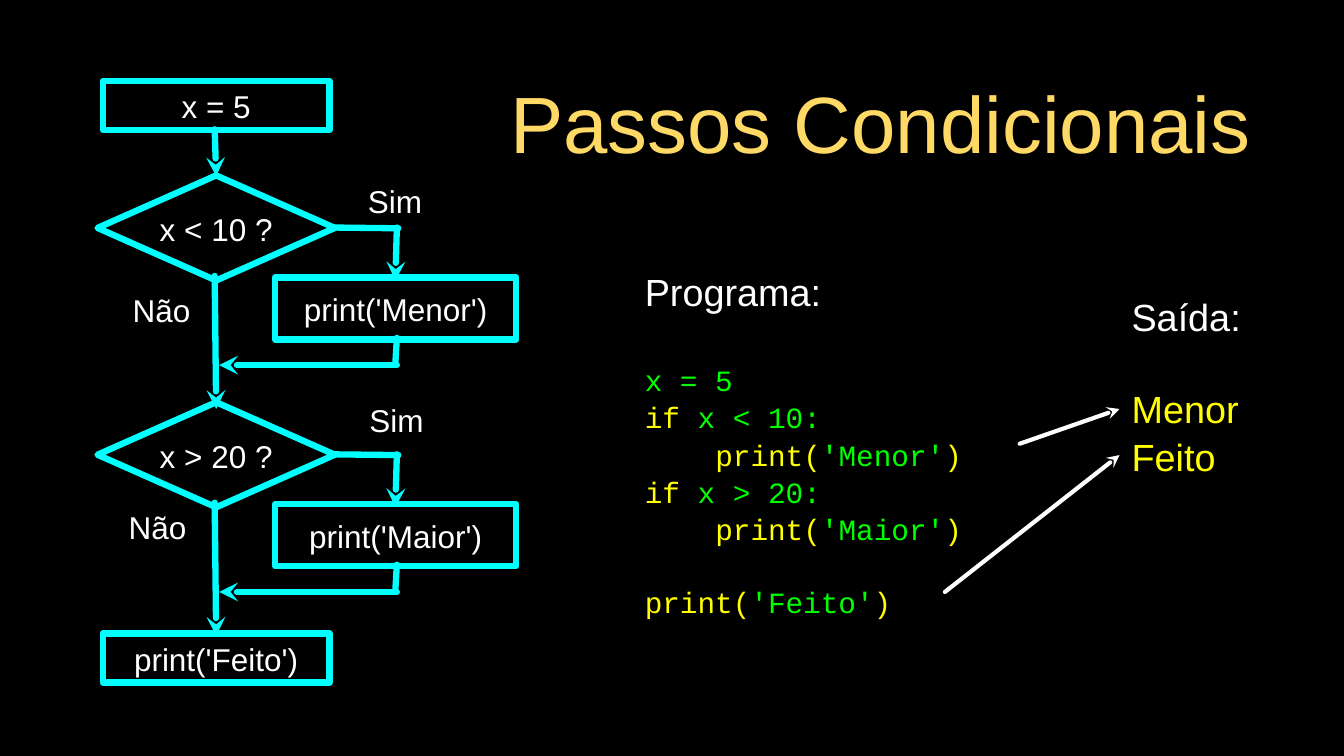
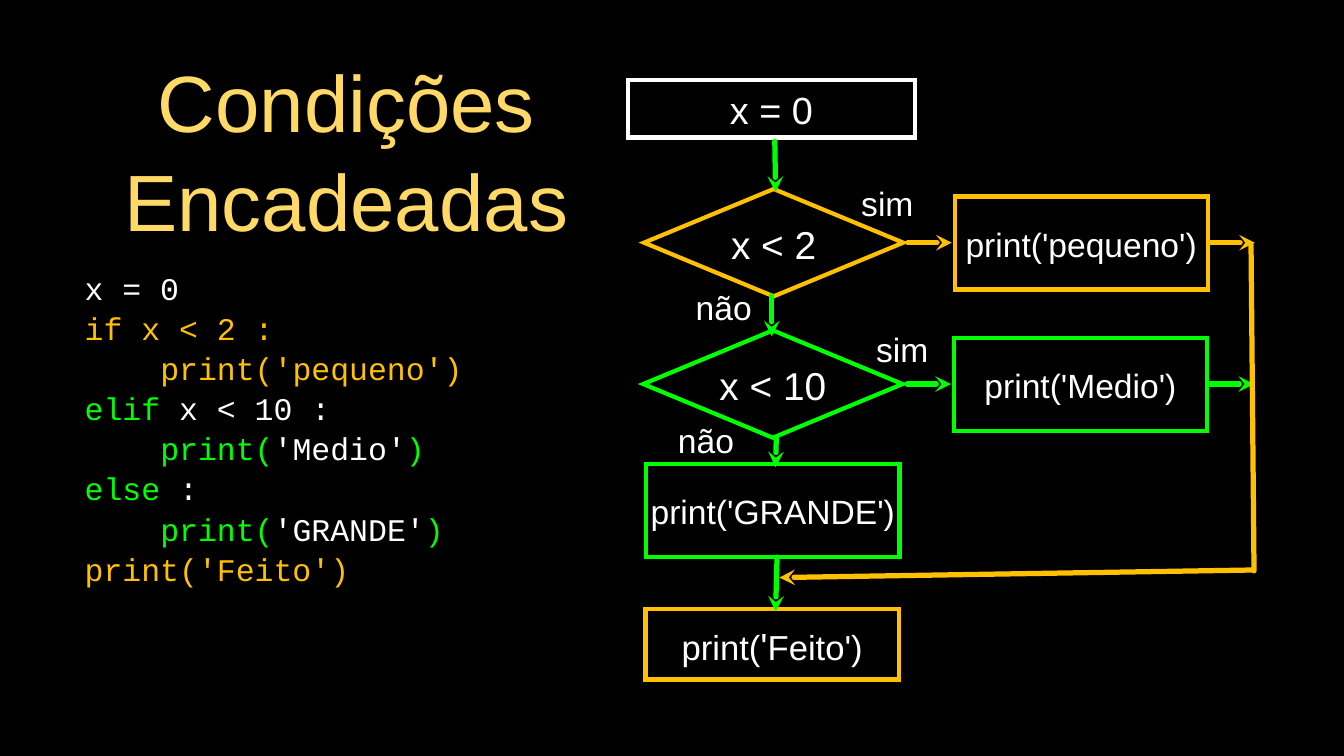
from dataclasses import dataclass
from typing import NamedTuple, Optional

from lxml.etree import SubElement
from pptx import Presentation
from pptx.dml.color import RGBColor
from pptx.enum.shapes import MSO_CONNECTOR, MSO_SHAPE
from pptx.enum.text import MSO_ANCHOR, PP_ALIGN
from pptx.oxml.ns import qn
from pptx.util import Inches, Pt

SLIDE_WIDTH, SLIDE_HEIGHT = Inches(17.78), Inches(10)
CELL = SLIDE_HEIGHT / 100  # the grid has square cells, 100 rows to a slide
MONO_ADVANCE = 0.6  # width of a Courier New character, as a share of its size


@dataclass(frozen=True)
class Theme:
    background: str = "000000"
    title: str = "FFD966"
    white: str = "FFFFFF"
    cyan: str = "00FFFF"
    green: str = "00FF00"
    yellow: str = "FFFF00"
    amber: str = "FFC000"
    sans: str = "Arial"
    mono: str = "Courier New"
    title_size: float = 76
    heading_size: float = 36
    steps_code_size: float = 28
    steps_size: float = 30
    chain_code_size: float = 30
    chain_size: float = 32
    question_size: float = 37
    final_size: float = 33
    steps_line: float = 6
    output_line: float = 4
    chain_box_line: float = 4
    chain_line: float = 5
    sans_spacing: float = 1.04
    mono_spacing: float = 1.06


THEME = Theme()


class Point(NamedTuple):
    x: float
    y: float


class Area(NamedTuple):
    x: float
    y: float
    width: float
    height: float


class Span(NamedTuple):
    text: str
    color: str = THEME.white
    size: Optional[float] = None


@dataclass(frozen=True)
class Line:
    """One paragraph; indent counts characters and gap_before is in points."""
    spans: tuple[Span, ...]
    size: float
    font: str = THEME.sans
    align: PP_ALIGN = PP_ALIGN.LEFT
    indent: int = 0
    gap_before: float = 0


@dataclass(frozen=True)
class Node:
    area: Area
    text: Line
    color: str
    weight: float
    kind: MSO_SHAPE = MSO_SHAPE.RECTANGLE
    rounded: bool = False


@dataclass(frozen=True)
class Link:
    start: Point
    end: Point
    color: str
    weight: float
    arrow: bool = True


class Step(NamedTuple):
    """A question on slide 1 with the action on its yes side."""
    top: float
    question: str
    action: str
    yes: Area
    no: Area


class Branch(NamedTuple):
    """A question on slide 2 with the action to its right."""
    left: float
    top: float
    question: str
    action: str
    color: str
    yes: Area
    no: Area


def cells(*lengths: float) -> list[int]:
    return [round(length * CELL) for length in lengths]


def rgb(color: str) -> RGBColor:
    return RGBColor.from_string(color)


def centered(text: str, size: float, color: str = THEME.white) -> Line:
    return Line((Span(text, color),), size, align=PP_ALIGN.CENTER)


def fill_text(frame, lines: list[Line], inset: float = 0) -> None:
    frame.word_wrap = True
    frame.vertical_anchor = MSO_ANCHOR.MIDDLE
    frame.margin_left = frame.margin_right = Inches(inset)
    frame.margin_top = frame.margin_bottom = Inches(inset)
    for index, line in enumerate(lines):
        paragraph = frame.paragraphs[0] if index == 0 else frame.add_paragraph()
        paragraph.alignment = line.align
        paragraph.line_spacing = (
            THEME.mono_spacing if line.font == THEME.mono else THEME.sans_spacing)
        paragraph.space_before = Pt(line.gap_before)
        if line.indent:
            margin = Pt(line.indent * MONO_ADVANCE * line.size)
            paragraph._p.get_or_add_pPr().set("marL", str(margin))
        for span in line.spans:
            run = paragraph.add_run()
            run.text = span.text
            run.font.name = line.font
            run.font.size = Pt(span.size or line.size)
            run.font.color.rgb = rgb(span.color)


def draw_text(slide, area: Area, *lines: Line, inset: float = 0) -> None:
    box = slide.shapes.add_textbox(*cells(*area))
    fill_text(box.text_frame, list(lines), inset)


def draw_title(slide, area: Area, text: str) -> None:
    draw_text(slide, area, centered(text, THEME.title_size, THEME.title), inset=0.04)


def draw_node(slide, node: Node) -> None:
    shape = slide.shapes.add_shape(node.kind, *cells(*node.area))
    shape.shadow.inherit = False
    shape.fill.background()
    shape.line.color.rgb = rgb(node.color)
    shape.line.width = Pt(node.weight)
    outline = shape.line._get_or_add_ln()
    if node.rounded:
        SubElement(outline, qn("a:round"))
    else:
        SubElement(outline, qn("a:miter"), lim="800000")
    fill_text(shape.text_frame, [node.text])


def draw_link(slide, link: Link) -> None:
    connector = slide.shapes.add_connector(
        MSO_CONNECTOR.STRAIGHT, *cells(*link.start, *link.end))
    connector.line.color.rgb = rgb(link.color)
    connector.line.width = Pt(link.weight)
    outline = connector.line._get_or_add_ln()
    outline.set("cap", "rnd")
    SubElement(outline, qn("a:round"))
    if link.arrow:
        SubElement(outline, qn("a:tailEnd"), type="stealth")
    SubElement(connector._element.spPr, qn("a:effectLst"))


def code(size: float, *spans: Span, indent: int = 0, gap_before: float = 0) -> Line:
    return Line(spans, size, THEME.mono, indent=indent, gap_before=gap_before)


def print_call(size: float, argument: str, call_color: str, argument_color: str,
               indent: int = 0, gap_before: float = 0) -> Line:
    return code(size, Span("print(", call_color), Span(argument, argument_color),
                Span(")", call_color), indent=indent, gap_before=gap_before)


def draw_step(slide, step: Step) -> None:
    top, size = step.top, THEME.steps_size
    outline = dict(color=THEME.cyan, weight=THEME.steps_line, rounded=True)
    draw_node(slide, Node(Area(12.9, top, 31.4, 13.9), centered(step.question, size),
                          kind=MSO_SHAPE.DIAMOND, **outline))
    draw_node(slide, Node(Area(36.4, top + 13.5, 31.9, 8.2),
                          centered(step.action, size), **outline))
    for start, end, arrow in (
        (Point(28.4, top + 13.3), Point(28.6, top + 30.9), True),
        (Point(44.2, top + 6.9), Point(52.7, top + 7), False),
        (Point(52.5, top + 6.9), Point(52.3, top + 13.9), True),
        (Point(52.5, top + 21.5), Point(52.3, top + 24.9), False),
        (Point(52.5, top + 25.1), Point(29, top + 25.1), True),
    ):
        draw_link(slide, Link(start, end, THEME.cyan, THEME.steps_line, arrow))
    draw_text(slide, step.yes, centered("Sim", size))
    draw_text(slide, step.no, centered("Não", size))


def build_conditional_steps(slide) -> None:
    draw_title(slide, Area(64, 8.4, 104.9, 14.9), "Passos Condicionais")

    size, heading = THEME.steps_code_size, THEME.heading_size
    green, yellow = THEME.green, THEME.yellow
    blank_heading, blank_code = 1.2 * heading, 1.2 * size
    draw_text(slide, Area(149.7, 39, 17.3, 23.9),
              Line((Span("Saída:"),), heading),
              Line((Span("Menor", yellow),), heading, gap_before=blank_heading),
              Line((Span("Feito", yellow),), heading))
    draw_text(slide, Area(85.3, 31.4, 49.6, 54.5),
              Line((Span("Programa:"),), heading),
              code(size, Span("x = 5", green), gap_before=blank_heading),
              code(size, Span("if ", yellow), Span("x < 10:", green)),
              print_call(size, "'Menor'", yellow, green, indent=4),
              code(size, Span("if ", yellow), Span("x > 20:", green)),
              print_call(size, "'Maior'", yellow, green, indent=4),
              print_call(size, "'Feito'", yellow, green, gap_before=blank_code))
    for start, end in ((Point(134.9, 58.7), Point(148.1, 54.1)),
                       (Point(125, 78.3), Point(148.1, 60.2))):
        draw_link(slide, Link(start, end, THEME.white, THEME.output_line))

    for top, text in ((10.7, "x = 5"), (83.8, "print('Feito')")):
        draw_node(slide, Node(Area(13.6, top, 30, 6.5), centered(text, THEME.steps_size),
                              THEME.cyan, THEME.steps_line, rounded=True))
    draw_link(slide, Link(Point(28.4, 17.1), Point(28.6, 23.3),
                          THEME.cyan, THEME.steps_line))
    for step in (
        Step(23.2, "x < 10 ?", "print('Menor')",
             Area(48.3, 23.1, 7.9, 6.8), Area(17.4, 37.1, 7.9, 7.7)),
        Step(53.2, "x > 20 ?", "print('Maior')",
             Area(48.5, 52.1, 7.9, 6.8), Area(16.9, 66.7, 7.9, 5.8)),
    ):
        draw_step(slide, step)


def draw_branch(slide, branch: Branch) -> None:
    left, top, color = branch.left, branch.top, branch.color
    draw_node(slide, Node(Area(left, top, 34.3, 14.2),
                          centered(branch.question, THEME.question_size),
                          color, THEME.chain_box_line, MSO_SHAPE.DIAMOND))
    draw_node(slide, Node(Area(left + 41.1, top + 1, 33.5, 12.3),
                          centered(branch.action, THEME.chain_size),
                          color, THEME.chain_box_line))
    for offset in (34.9, 75):
        start = Point(left + offset, top + 7.1)
        draw_link(slide, Link(start, Point(start.x + 5.8, start.y),
                              color, THEME.chain_line))
    draw_text(slide, branch.yes, centered("sim", THEME.chain_size))
    draw_text(slide, branch.no, centered("não", THEME.chain_size))


def build_chained_conditions(slide) -> None:
    draw_title(slide, Area(14.3, 9.8, 63, 19.6), "Condições Encadeadas")

    size, amber, green, white = THEME.chain_code_size, THEME.amber, THEME.green, THEME.white
    draw_text(slide, Area(11.2, 32.1, 55.8, 48.8),
              code(size, Span("x = 0")),
              code(size, Span("if x < 2 :", amber)),
              code(size, Span("print('pequeno')", amber), indent=4),
              code(size, Span("elif", green), Span(" x < 10 :")),
              print_call(size, "'Medio'", green, white, indent=4),
              code(size, Span("else", green), Span(" :")),
              print_call(size, "'GRANDE'", green, white, indent=4),
              code(size, Span("print('Feito')", amber)))

    for branch in (
        Branch(85.2, 25, "x < 2", "print('pequeno')", amber,
               Area(113.6, 24.1, 7.6, 5.4), Area(91.6, 38.3, 8.3, 4.4)),
        Branch(85.1, 43.7, "x < 10", "print('Medio')", green,
               Area(115.1, 43.4, 8.5, 5.4), Area(88.9, 55.4, 9, 5.4)),
    ):
        draw_branch(slide, branch)

    final_call = Line((Span("print("), Span("'", size=THEME.heading_size), Span("Feito')")),
                      THEME.final_size, align=PP_ALIGN.CENTER)
    for area, text, color in (
        (Area(83.1, 10.6, 37.9, 7.6), centered("x = 0", THEME.heading_size), white),
        (Area(85.5, 61.4, 33.5, 12.3), centered("print('GRANDE')", THEME.chain_size), green),
        (Area(85.4, 80.6, 33.5, 9.3), final_call, amber),
    ):
        draw_node(slide, Node(area, text, color, THEME.chain_box_line))

    for start, end, color, arrow in (
        (Point(102.5, 18.7), Point(102.6, 25.4), green, True),
        (Point(102.1, 39.1), Point(102.1, 44.5), green, True),
        (Point(102.7, 57.9), Point(102.6, 61.8), green, True),
        (Point(102.8, 73.7), Point(102.6, 80.9), green, True),
        (Point(165.5, 32.3), Point(165.9, 75.5), amber, False),
        (Point(165.7, 75.4), Point(103.1, 76.4), amber, True),
    ):
        draw_link(slide, Link(start, end, color, THEME.chain_line, arrow))


def main() -> None:
    deck = Presentation()
    deck.slide_width, deck.slide_height = SLIDE_WIDTH, SLIDE_HEIGHT
    backdrop = deck.slide_master.background.fill
    backdrop.solid()
    backdrop.fore_color.rgb = rgb(THEME.background)
    for build in (build_conditional_steps, build_chained_conditions):
        build(deck.slides.add_slide(deck.slide_layouts[6]))
    deck.save("out.pptx")


if __name__ == "__main__":
    main()
